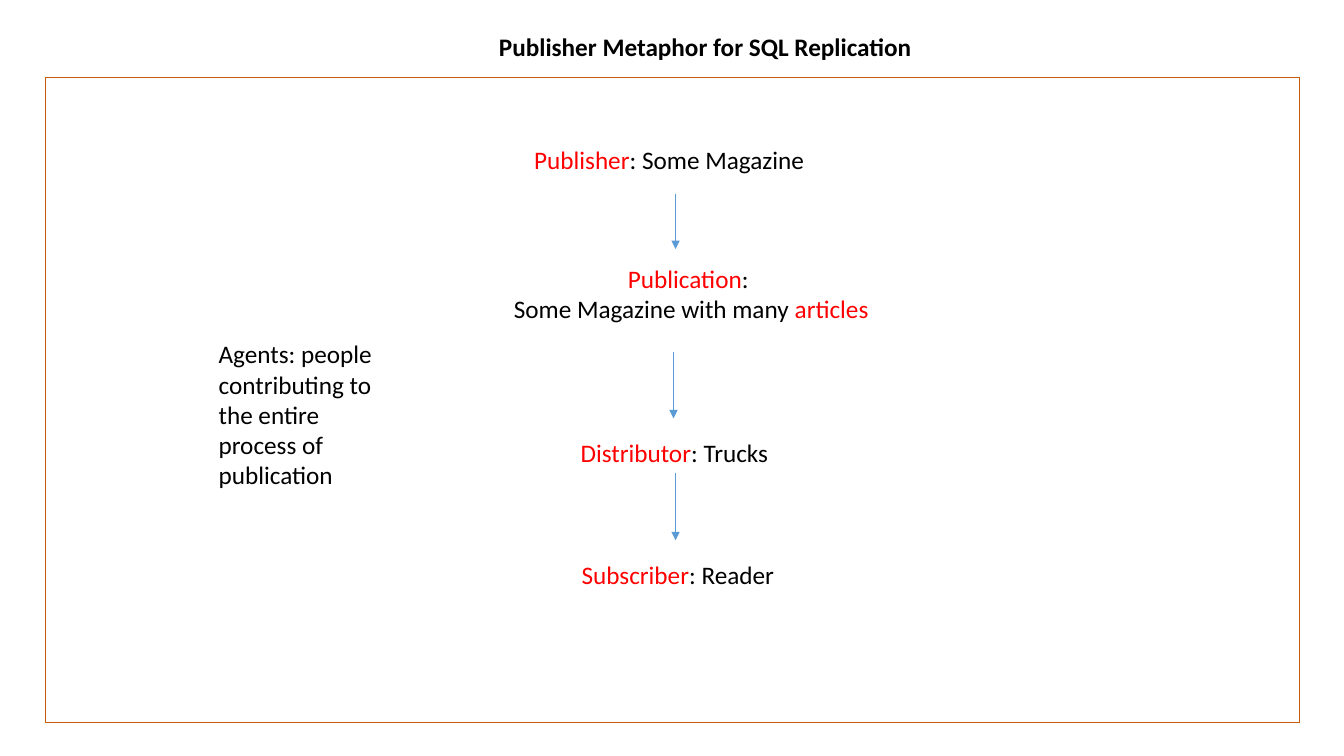
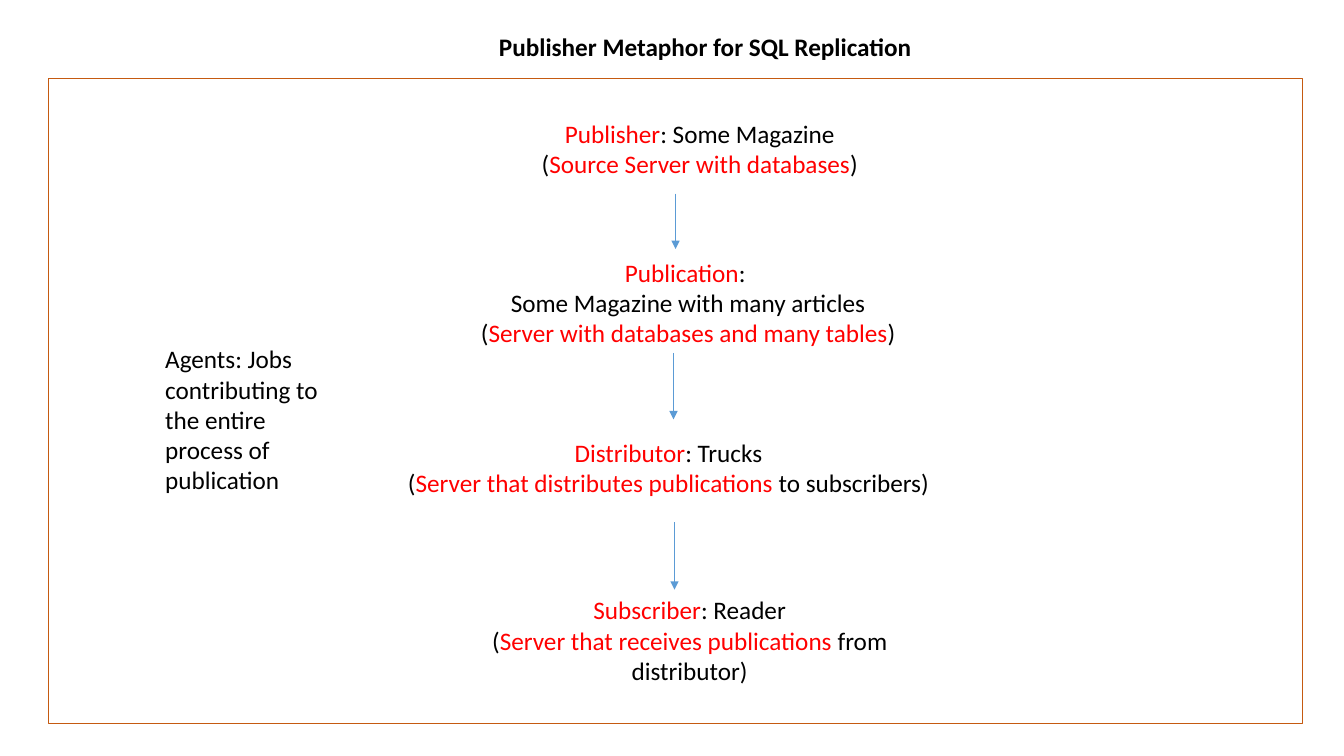
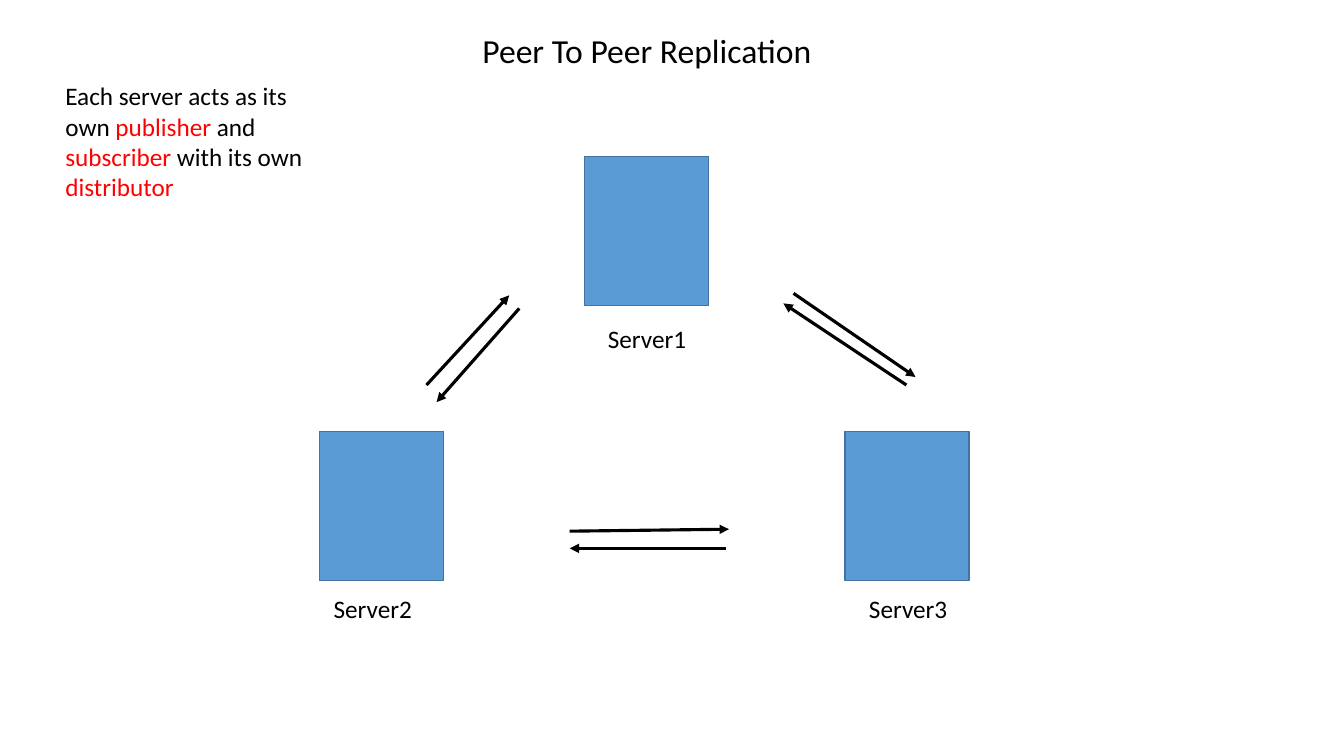
"""Build three slides on database replication."""
from dataclasses import dataclass

from lxml import etree
from pptx import Presentation
from pptx.dml.color import RGBColor
from pptx.enum import shapes, text
from pptx.oxml import ns
from pptx.slide import Slide
from pptx.util import Inches, Pt

BLACK = RGBColor(0x00, 0x00, 0x00)
RED = RGBColor(0xFF, 0x00, 0x00)
ORANGE = RGBColor(0xC5, 0x5A, 0x11)
BLUE = RGBColor(0x5B, 0x9B, 0xD5)
DARK_BLUE = RGBColor(0x43, 0x73, 0x9E)
FONT = "Calibri"
LEFT = text.PP_ALIGN.LEFT
CENTER = text.PP_ALIGN.CENTER
FRAME_SIZE = (12.44, 6.4)
SERVER_SIZE = (1.23, 1.48)
LABEL_SIZE = (1.18, 0.4)


@dataclass(frozen=True)
class Label:
    """Text whose starred parts are red; lines are paragraphs."""

    left: float
    top: float
    width: float
    height: float
    words: str
    align: text.PP_ALIGN = LEFT
    size: int = 18
    bold: bool = False


@dataclass(frozen=True)
class Arrow:
    """Straight arrow between two points."""

    x1: float
    y1: float
    x2: float
    y2: float


@dataclass(frozen=True)
class Server:
    """Server block with the place of its name."""

    name: str
    left: float
    top: float
    name_left: float
    name_top: float


@dataclass(frozen=True)
class Metaphor:
    """One framed publisher diagram."""

    frame_left: float
    frame_top: float
    labels: tuple[Label, ...]
    arrows: tuple[Arrow, ...]


def add_label(page: Slide, label: Label) -> None:
    """Draw a label with highlighted words."""
    box = page.shapes.add_textbox(Inches(label.left), Inches(label.top),
                                  Inches(label.width), Inches(label.height))
    frame = box.text_frame
    frame.word_wrap = True
    frame.auto_size = text.MSO_AUTO_SIZE.SHAPE_TO_FIT_TEXT
    for number, line in enumerate(label.words.split("\n")):
        para = frame.add_paragraph() if number else frame.paragraphs[0]
        para.alignment = label.align
        para.font.name = FONT
        para.font.size = Pt(label.size)
        para.font.bold = label.bold
        for index, part in enumerate(line.split("*")):
            if part:
                span = para.add_run()
                span.text = part
                span.font.color.rgb = RED if index % 2 else BLACK


def add_arrow(page: Slide, arrow: Arrow, color: RGBColor, weight: float) -> None:
    """Draw a line with a triangle at its end."""
    line = page.shapes.add_connector(shapes.MSO_CONNECTOR.STRAIGHT,
                                     Inches(arrow.x1), Inches(arrow.y1),
                                     Inches(arrow.x2), Inches(arrow.y2))
    line.line.color.rgb = color
    line.line.width = Pt(weight)
    etree.SubElement(line.line._get_or_add_ln(), ns.qn("a:tailEnd"), type="triangle")
    etree.SubElement(line._element.spPr, ns.qn("a:effectLst"))


def add_rectangle(page: Slide, left: float, top: float, size: tuple[float, float],
                  outline: RGBColor, weight: float, fill: RGBColor | None = None) -> None:
    """Draw an outlined rectangle, filled if a fill is given."""
    box = page.shapes.add_shape(shapes.MSO_SHAPE.RECTANGLE, Inches(left), Inches(top),
                                Inches(size[0]), Inches(size[1]))
    box.shadow.inherit = False
    box.line.color.rgb = outline
    box.line.width = Pt(weight)
    if fill is None:
        box.fill.background()
    else:
        box.fill.solid()
        box.fill.fore_color.rgb = fill


def draw_metaphor(page: Slide, metaphor: Metaphor) -> None:
    """Draw the title, frame, labels and arrows of a metaphor."""
    add_label(page, METAPHOR_TITLE)
    add_rectangle(page, metaphor.frame_left, metaphor.frame_top, FRAME_SIZE, ORANGE, 0.75)
    for label in metaphor.labels:
        add_label(page, label)
    for arrow in metaphor.arrows:
        add_arrow(page, arrow, BLUE, 0.5)


def draw_peers(page: Slide) -> None:
    """Draw the peer to peer diagram."""
    for label in PEER_LABELS:
        add_label(page, label)
    for server in SERVERS:
        add_rectangle(page, server.left, server.top, SERVER_SIZE, DARK_BLUE, 1, BLUE)
        add_label(page, Label(server.name_left, server.name_top, *LABEL_SIZE, server.name))
    for arrow in PEER_ARROWS:
        add_arrow(page, arrow, BLACK, 2.25)


METAPHOR_TITLE = Label(4.85, 0.26, 4.45, 0.4, "Publisher Metaphor for SQL Replication", bold=True)
METAPHORS = (
    Metaphor(
        0.45, 0.77,
        (
            Label(5.2, 1.38, 3.32, 0.4, "*Publisher*: Some Magazine"),
            Label(4.69, 2.56, 4.33, 0.71,
                  "*Publication*: \nSome Magazine with many *articles*", CENTER),
            Label(5.66, 4.29, 2.84, 0.4, "*Distributor*: Trucks"),
            Label(5.67, 5.5, 2.84, 0.4, "*Subscriber*: Reader"),
            Label(2.07, 3.31, 1.98, 1.62,
                  "Agents: people contributing to the entire process of publication"),
        ),
        (Arrow(6.7, 1.92, 6.7, 2.47), Arrow(6.68, 3.49, 6.68, 4.15),
         Arrow(6.7, 4.69, 6.7, 5.36)),
    ),
    Metaphor(
        0.48, 0.78,
        (
            Label(5.15, 1.12, 3.58, 0.71,
                  "*Publisher*: Some Magazine (*Source Server with databases*)", CENTER),
            Label(4.66, 2.5, 4.33, 1.01,
                  "*Publication*: \nSome Magazine with many articles\n"
                  "(*Server with databases and many tables*)", CENTER),
            Label(3.53, 4.29, 6.2, 0.71,
                  "*Distributor*: Trucks\n"
                  "(*Server that distributes publications *to subscribers)", CENTER),
            Label(4.69, 5.85, 4.3, 1.01,
                  "*Subscriber*: Reader\n"
                  "(*Server that receives publications *from distributor)", CENTER),
            Label(1.54, 3.36, 1.98, 1.62,
                  "Agents: Jobs contributing to the entire process of publication"),
        ),
        (Arrow(6.7, 1.92, 6.7, 2.47), Arrow(6.68, 3.5, 6.68, 4.16),
         Arrow(6.69, 5.18, 6.69, 5.85)),
    ),
)

PEER_LABELS = (
    Label(3.34, 0.25, 6.15, 0.5, "Peer To Peer Replication", CENTER, 24),
    Label(0.55, 0.75, 2.8, 1.31,
          "Each server acts as its own *publisher* and *subscriber* with its own *distributor*"),
)
SERVERS = (
    Server("Server1", 5.8, 1.55, 5.93, 3.16),
    Server("Server2", 3.17, 4.28, 3.21, 5.84),
    Server("Server3", 8.38, 4.28, 8.52, 5.84),
)
PEER_ARROWS = (
    Arrow(7.87, 2.91, 9.08, 3.74),
    Arrow(8.99, 3.82, 7.77, 3.01),
    Arrow(5.65, 5.27, 7.23, 5.25),
    Arrow(7.2, 5.44, 5.65, 5.44),
    Arrow(5.15, 3.06, 4.33, 3.99),
    Arrow(4.23, 3.82, 5.05, 2.93),
)


def main() -> None:
    """Build and save the deck."""
    deck = Presentation()
    deck.slide_width = Inches(13.33)
    deck.slide_height = Inches(7.5)
    blank = deck.slide_layouts[6]
    for metaphor in METAPHORS:
        draw_metaphor(deck.slides.add_slide(blank), metaphor)
    draw_peers(deck.slides.add_slide(blank))
    deck.save("out.pptx")


main()
